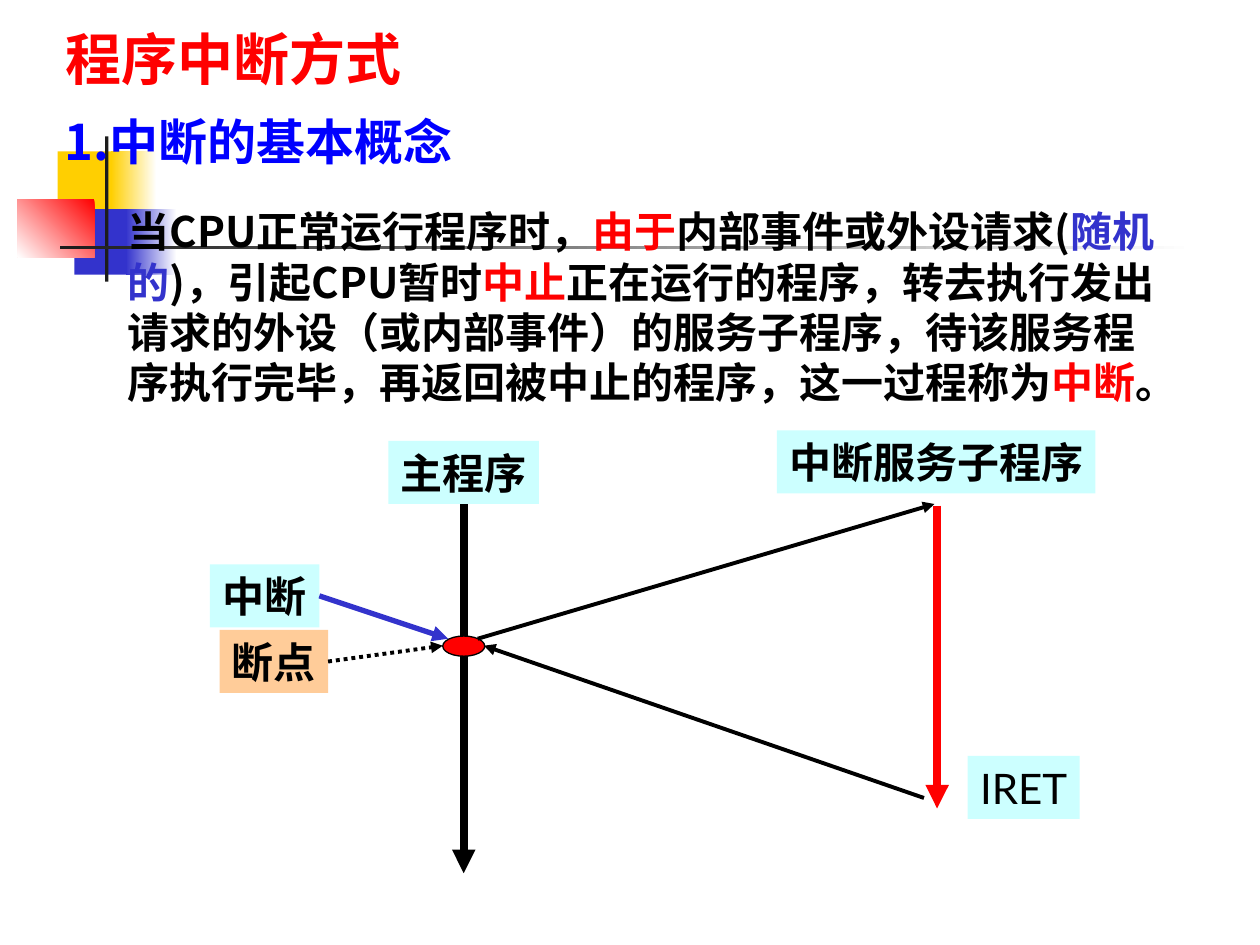
"""Build a slide that explains how a program interrupt works."""
from dataclasses import dataclass
from typing import Optional

from lxml.etree import SubElement
from pptx import Presentation
from pptx.dml.color import RGBColor
from pptx.enum.dml import MSO_LINE
from pptx.enum.shapes import MSO_CONNECTOR, MSO_SHAPE
from pptx.enum.text import MSO_ANCHOR, MSO_AUTO_SIZE, PP_ALIGN
from pptx.oxml.ns import qn
from pptx.util import Pt

BLACK = RGBColor(0x00, 0x00, 0x00)
WHITE = RGBColor(0xFF, 0xFF, 0xFF)
RED = RGBColor(0xFF, 0x00, 0x00)
BLUE = RGBColor(0x00, 0x00, 0xFF)
INDIGO = RGBColor(0x33, 0x33, 0xCC)
YELLOW = RGBColor(0xFF, 0xCF, 0x01)
DARK = RGBColor(0x1C, 0x1C, 0x1C)
CYAN = RGBColor(0xCC, 0xFF, 0xFF)
PEACH = RGBColor(0xFF, 0xCC, 0x99)
SANS = "Noto Sans CJK SC"
LATO = "Lato"
TIMES = "Times New Roman"


@dataclass
class Block:
    box: tuple[float, ...]
    tone: RGBColor
    fade: Optional[RGBColor] = None
    angle: float = 180


@dataclass
class Label:
    text: str
    box: tuple[float, ...]
    font: str = LATO
    fill: RGBColor = CYAN
    bold: bool = True


@dataclass
class Arrow:
    start: tuple[float, float]
    end: tuple[float, float]
    color: RGBColor = BLACK
    width: float = 2.25
    source: str = ""
    side: int = 3
    dash: bool = False


BLOCKS = [
    Block((33, 86.5, 34.5, 37.5), YELLOW),
    Block((63.5, 86.5, 26, 37.5), WHITE, YELLOW),
    Block((42.5, 119.5, 33, 37.5), INDIGO),
    Block((72, 119.5, 29, 37.5), WHITE, INDIGO),
    Block((10, 114, 44, 33), RED, WHITE, 225),
    Block((60, 78, 2, 83), DARK),
    Block((34.5, 140.5, 648, 2), WHITE, DARK),
]
LABELS = [
    Label("中断", (120, 322.5, 62.5, 36), TIMES),
    Label("断点", (125.5, 360, 62, 36), fill=PEACH),
    Label("IRET", (553, 432, 64, 36), bold=False),
    Label("中断服务子程序", (444, 246, 182, 36)),
    Label("主程序", (222, 252, 86, 36)),
]
MAIN = Arrow((265, 288), (265, 499), width=4.5, source="主程序", side=2)
ARROWS = [
    Arrow((187.5, 378), (253, 369), source="断点", dash=True),
    Arrow((273, 365), (534, 288)),
    Arrow((528, 456), (276.5, 369)),
    Arrow((535.5, 289), (535.5, 462), RED, 4.5),
    Arrow((182.5, 340.5), (256, 365), INDIGO, 3, "中断"),
]
BODY = [
    ("当CPU正常运行程序时，", BLACK),
    ("由于", RED),
    ("内部事件或外设请求(", BLACK),
    ("随机的", INDIGO),
    (")，引起CPU暂时", BLACK),
    ("中止", RED),
    ("正在运行的程序，转去执行发出请求的外设（或内部事件）的服务子程序，"
     "待该服务程序执行完毕，再返回被中止的程序，这一过程称为", BLACK),
    ("中断", RED),
    ("。", BLACK),
]


def points(box: tuple[float, ...]) -> list:
    return [Pt(n) for n in box]


def style(run, size: float, color: RGBColor, face: str = SANS, bold: bool = True) -> None:
    font = run.font
    font.size, font.bold, font.name = Pt(size), bold, face
    font.color.rgb = color
    SubElement(run._r.get_or_add_rPr(), qn("a:ea")).set("typeface", SANS)


def set_frame(frame, inset: float = 3.6, wrap: bool = True) -> None:
    frame.word_wrap, frame.auto_size = wrap, MSO_AUTO_SIZE.NONE
    frame.margin_left = frame.margin_right = Pt(7.2)
    frame.margin_top = frame.margin_bottom = Pt(inset)


def draw_shape(slide, kind, box: tuple[float, ...], tone: RGBColor):
    shape = slide.shapes.add_shape(kind, *points(box))
    shape.shadow.inherit = False
    shape.fill.solid()
    shape.fill.fore_color.rgb = tone
    shape.line.fill.background()
    return shape


def draw_block(slide, block: Block) -> None:
    fill = draw_shape(slide, MSO_SHAPE.RECTANGLE, block.box, block.tone).fill
    if block.fade is not None:
        fill.gradient()
        fill.gradient_angle = block.angle
        for stop, tone in zip(fill.gradient_stops, (block.tone, block.fade)):
            stop.color.rgb = tone


def draw_label(slide, label: Label):
    shape = draw_shape(slide, MSO_SHAPE.RECTANGLE, label.box, label.fill)
    frame = shape.text_frame
    set_frame(frame, wrap=False)
    frame.vertical_anchor = MSO_ANCHOR.MIDDLE
    frame.text = label.text
    para = frame.paragraphs[0]
    para.alignment, para.line_spacing = PP_ALIGN.CENTER, Pt(28.8)
    style(para.runs[0], 24, BLACK, label.font, label.bold)
    return shape


def draw_arrow(slide, arrow: Arrow, shapes: dict) -> None:
    line = slide.shapes.add_connector(
        MSO_CONNECTOR.STRAIGHT, *points(arrow.start + arrow.end))
    if arrow.source:
        line.begin_connect(shapes[arrow.source], arrow.side)
    line.line.color.rgb = arrow.color
    line.line.width = Pt(arrow.width)
    if arrow.dash:
        line.line.dash_style = MSO_LINE.ROUND_DOT
    props = line._element.spPr
    SubElement(props.find(qn("a:ln")), qn("a:tailEnd")).set("type", "triangle")
    SubElement(props, qn("a:effectLst"))


def fill_head(shape, text: str, size: float, color: RGBColor,
              pitch: float, inset: float) -> None:
    frame = shape.text_frame
    set_frame(frame, inset)
    frame.vertical_anchor = MSO_ANCHOR.TOP
    frame.text = text
    para = frame.paragraphs[0]
    para.alignment, para.line_spacing = PP_ALIGN.LEFT, Pt(pitch)
    style(para.runs[0], size, color)


def draw_body(slide) -> None:
    frame = slide.shapes.add_textbox(*points((30, 114, 648, 151))).text_frame
    set_frame(frame)
    para = frame.paragraphs[0]
    para.level, para.line_spacing = 1, Pt(28.8)
    props = para._p.get_or_add_pPr()
    props.set("marL", str(Pt(36)))
    props.set("indent", "0")
    for text, color in BODY:
        run = para.add_run()
        run.text = text
        style(run, 24, color)


def main() -> None:
    deck = Presentation()
    deck.slide_width, deck.slide_height = Pt(720), Pt(540)
    slide = deck.slides.add_slide(deck.slide_layouts[5])
    for block in BLOCKS:
        draw_block(slide, block)
    title = slide.shapes.title
    title.left, title.top, title.width, title.height = points((30, 18, 415, 34.5))
    fill_head(title, "程序中断方式", 32, RED, 34.5, 0)
    head = slide.shapes.add_textbox(*points((30, 60, 389, 41)))
    fill_head(head, "1.中断的基本概念", 28, BLUE, 33.6, 3.6)
    draw_body(slide)
    shapes = {label.text: draw_label(slide, label) for label in LABELS}
    draw_arrow(slide, MAIN, shapes)
    node = draw_shape(slide, MSO_SHAPE.FLOWCHART_CONNECTOR, (253, 363.5, 24, 11.5), RED)
    node.line.color.rgb = BLACK
    node.line.width = Pt(0.75)
    for arrow in ARROWS:
        draw_arrow(slide, arrow, shapes)
    deck.save("out.pptx")


if __name__ == "__main__":
    main()
